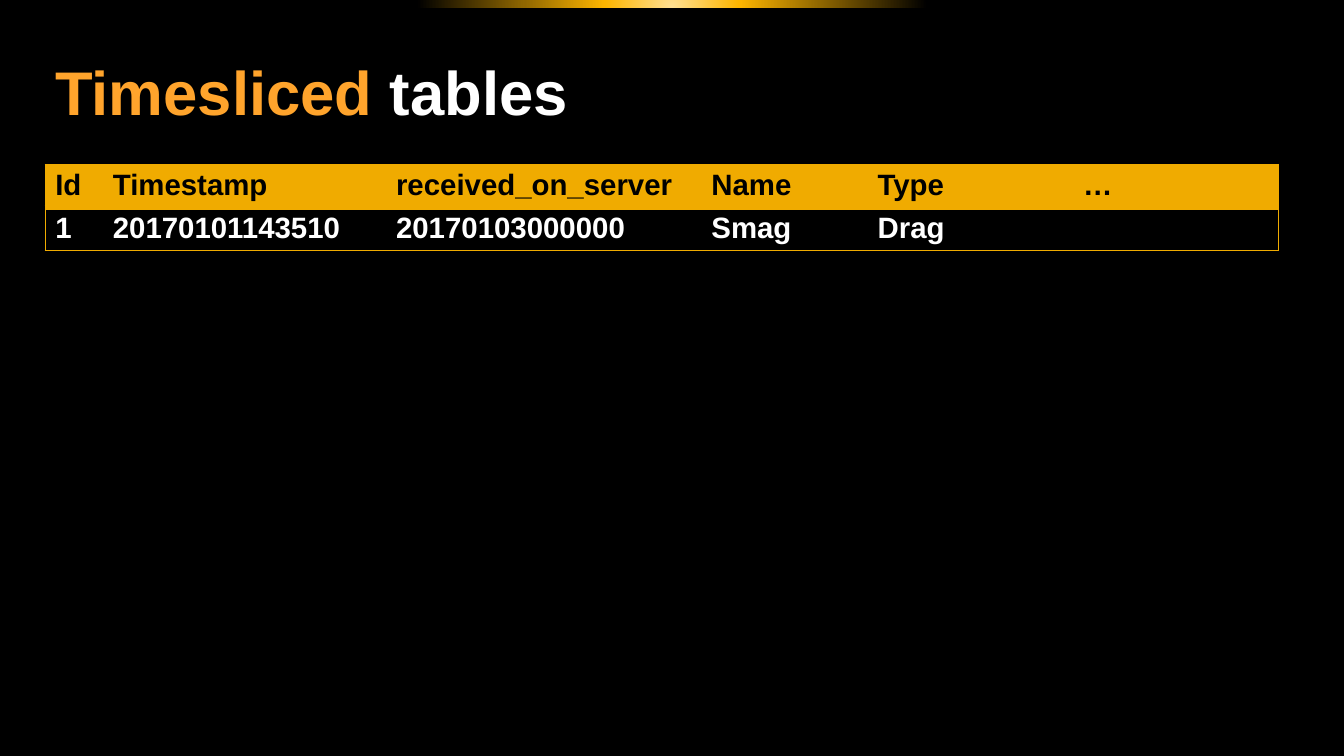
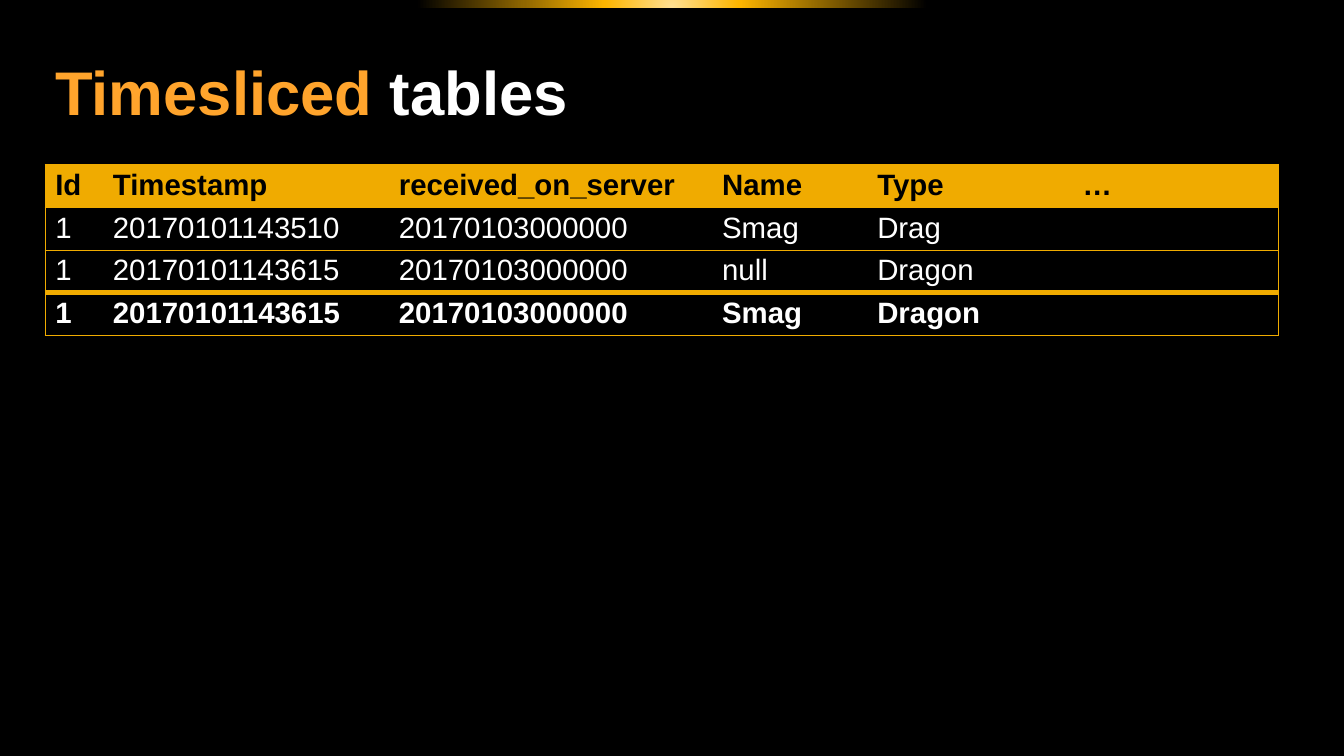
from pptx import Presentation
from pptx.dml.color import RGBColor
from pptx.enum.shapes import MSO_SHAPE
from pptx.enum.text import MSO_ANCHOR, MSO_AUTO_SIZE, PP_ALIGN
from pptx.oxml import parse_xml
from pptx.oxml.ns import nsdecls
from pptx.util import Cm, Pt

RECTANGLE = MSO_SHAPE.RECTANGLE
MIDDLE = MSO_ANCHOR.MIDDLE
NO_AUTOFIT = MSO_AUTO_SIZE.NONE
LEFT = PP_ALIGN.LEFT

BLACK = RGBColor(0x00, 0x00, 0x00)
WHITE = RGBColor(0xFF, 0xFF, 0xFF)
ORANGE = RGBColor(0xFF, 0xA4, 0x2C)
GOLD = RGBColor(0xF0, 0xAB, 0x00)
GLOW_STOPS = [
    (0, RGBColor(0xFF, 0xE0, 0x93)),
    (10, RGBColor(0xFD, 0xB5, 0x00)),
    (22, RGBColor(0x90, 0x67, 0x00)),
    (38, BLACK),
]

FONT = "Arial"
TITLE_SIZE = Pt(44)
TABLE_SIZE = Pt(21)
THIN = Pt(0.79)
THICK = Pt(4)
NO_STYLE = "{2D5ABB26-0587-4C30-8999-92F81FD0307C}"

SLIDE_WIDTH, SLIDE_HEIGHT = Cm(33.88), Cm(19.05)
BAND_BOX = (Cm(0), Cm(-0.05), SLIDE_WIDTH, Cm(0.23))
TITLE_BOX = (Cm(1.14), Cm(1.35), Cm(31.06), Cm(1.88))
TABLE_LEFT, TABLE_TOP = Cm(1.14), Cm(4.14)
ROW_HEIGHT = Cm(1.08)
CELL_MARGIN = Cm(0.11)

TITLE = [("Timesliced ", ORANGE), ("tables", WHITE)]
HEADER = ["Id", "Timestamp", "received_on_server", "Name", "Type", "…"]
TABLES = [
    ([1.45, 7.14, 7.95, 4.19, 5.18, 5.18], [
        ["1", "20170101143510", "20170103000000", "Smag", "Drag", ""],
    ]),
    ([1.45, 7.21, 8.15, 3.91, 5.18, 5.18], [
        ["1", "20170101143510", "20170103000000", "Smag", "Drag", ""],
        ["1", "20170101143615", "20170103000000", "null", "Dragon", ""],
        ["1", "20170101143615", "20170103000000", "Smag", "Dragon", ""],
    ]),
]


def add_span(para, text, size, color, bold):
    span = para.add_run()
    span.text = text
    span.font.name = FONT
    span.font.size = size
    span.font.bold = bold
    span.font.color.rgb = color


def add_glow_band(slide, box):
    band = slide.shapes.add_shape(RECTANGLE, *box)
    band.shadow.inherit = False
    band.line.fill.background()
    stops = "".join(
        f'<a:gs pos="{percent * 1000}"><a:srgbClr val="{color}"/></a:gs>'
        for percent, color in GLOW_STOPS
    )
    glow = parse_xml(
        f'<a:gradFill {nsdecls("a")} rotWithShape="1"><a:gsLst>{stops}</a:gsLst>'
        '<a:path path="circle">'
        '<a:fillToRect l="50000" t="130000" r="50000" b="-30000"/>'
        '</a:path></a:gradFill>'
    )
    band.element.spPr.find("{*}prstGeom").addnext(glow)


def set_title(slide, box):
    title = slide.shapes.title
    title.left, title.top, title.width, title.height = box
    frame = title.text_frame
    frame.word_wrap = True
    frame.auto_size = NO_AUTOFIT
    frame.vertical_anchor = MIDDLE
    para = frame.paragraphs[0]
    para.alignment = LEFT
    for text, color in TITLE:
        add_span(para, text, TITLE_SIZE, color, True)


def set_borders(cell, borders):
    """Draw the (side, width) borders; call before the cell gets its fill."""
    properties = cell._tc.get_or_add_tcPr()
    for side, width in borders:
        properties.append(parse_xml(
            f'<a:ln{side} {nsdecls("a")} w="{width}"><a:solidFill>'
            f'<a:srgbClr val="{GOLD}"/></a:solidFill></a:ln{side}>'
        ))


def add_record_table(slide, left, top, widths, records):
    """Header and records, with a heavy rule above the bold last record."""
    rows = [HEADER] + records
    last_row, last_column = len(rows) - 1, len(HEADER) - 1
    rules = [THIN] * last_row + [THICK, THIN]
    frame = slide.shapes.add_table(
        len(rows), len(HEADER), left, top, Cm(sum(widths)), ROW_HEIGHT * len(rows))
    table = frame.table
    table.horz_banding = False
    table._tbl.tblPr.find("{*}tableStyleId").text = NO_STYLE
    for column, width in zip(table.columns, widths):
        column.width = Cm(width)
    for r, texts in enumerate(rows):
        table.rows[r].height = ROW_HEIGHT
        is_header = r == 0
        for c, text in enumerate(texts):
            cell = table.cell(r, c)
            cell.margin_top = cell.margin_bottom = CELL_MARGIN
            sides = [("L", THIN)] if c == 0 else []
            if c == last_column:
                sides.append(("R", THIN))
            set_borders(cell, sides + [("T", rules[r]), ("B", rules[r + 1])])
            if is_header:
                cell.fill.solid()
                cell.fill.fore_color.rgb = GOLD
            else:
                cell.fill.background()
            if text:
                add_span(cell.text_frame.paragraphs[0], text, TABLE_SIZE,
                         BLACK if is_header else WHITE, r in (0, last_row))


def add_table_slide(deck, layout, widths, records):
    slide = deck.slides.add_slide(layout)
    add_glow_band(slide, BAND_BOX)
    set_title(slide, TITLE_BOX)
    add_record_table(slide, TABLE_LEFT, TABLE_TOP, widths, records)


def main():
    deck = Presentation()
    deck.slide_width, deck.slide_height = SLIDE_WIDTH, SLIDE_HEIGHT
    background = deck.slide_master.background.fill
    background.solid()
    background.fore_color.rgb = BLACK
    layout = deck.slide_layouts.get_by_name("Title Only")
    for widths, records in TABLES:
        add_table_slide(deck, layout, widths, records)
    deck.save("out.pptx")


if __name__ == "__main__":
    main()
